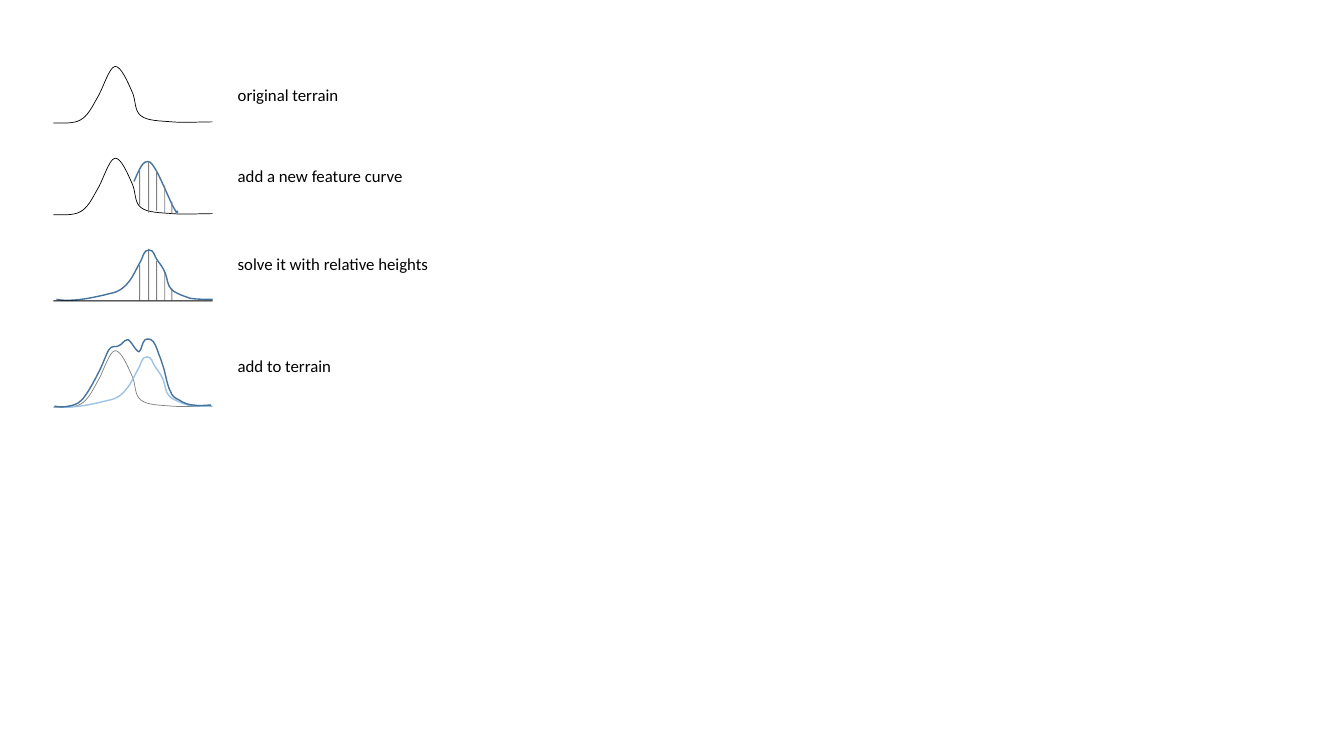
from lxml import etree
from pptx import Presentation
from pptx import util as u
from pptx.dml.color import RGBColor
from pptx.enum import shapes, text
from pptx.oxml import ns

BLACK = RGBColor(0x00, 0x00, 0x00)
GRAY = RGBColor(0x80, 0x80, 0x80)
BLUE = RGBColor(0x43, 0x73, 0x9E)
LIGHT_BLUE = RGBColor(0x9D, 0xC3, 0xE6)

# Curves: a start point, then two controls and an end point per segment (inches)
TERRAIN = [
    (0.53, 1.22), (0.63, 1.22), (0.73, 1.23), (0.80, 1.19),
    (0.87, 1.15), (0.91, 1.07), (0.96, 0.98),
    (1.02, 0.89), (1.08, 0.67), (1.14, 0.66),
    (1.20, 0.65), (1.27, 0.82), (1.31, 0.91),
    (1.35, 0.99), (1.33, 1.10), (1.40, 1.15),
    (1.46, 1.20), (1.59, 1.20), (1.71, 1.21),
    (1.83, 1.22), (1.97, 1.21), (2.11, 1.21)]
FEATURE = [
    (1.33, 1.80), (1.38, 1.69), (1.42, 1.57), (1.49, 1.61),
    (1.56, 1.66), (1.68, 1.99), (1.73, 2.07),
    (1.77, 2.15), (1.76, 2.09), (1.76, 2.09)]
RELATIVE_HILL = [
    (0.56, 2.97), (0.72, 3.00), (0.94, 2.95), (1.10, 2.91),
    (1.27, 2.88), (1.33, 2.71), (1.38, 2.62),
    (1.43, 2.54), (1.42, 2.48), (1.48, 2.48),
    (1.53, 2.48), (1.53, 2.54), (1.56, 2.58),
    (1.59, 2.62), (1.62, 2.66), (1.64, 2.71),
    (1.66, 2.76), (1.66, 2.83), (1.70, 2.87),
    (1.74, 2.91), (1.83, 2.94), (1.89, 2.96),
    (1.96, 2.97), (2.04, 2.97), (2.11, 2.97)]
COMBINED = [
    (0.54, 4.03), (0.59, 4.04), (0.63, 4.04), (0.68, 4.03),
    (0.72, 4.02), (0.76, 4.02), (0.81, 3.97),
    (0.86, 3.92), (0.93, 3.79), (0.97, 3.71),
    (1.02, 3.62), (1.05, 3.52), (1.08, 3.47),
    (1.11, 3.42), (1.15, 3.45), (1.18, 3.43),
    (1.21, 3.42), (1.23, 3.37), (1.27, 3.37),
    (1.30, 3.38), (1.35, 3.49), (1.38, 3.49),
    (1.40, 3.49), (1.41, 3.39), (1.44, 3.37),
    (1.46, 3.36), (1.50, 3.36), (1.52, 3.39),
    (1.55, 3.42), (1.57, 3.51), (1.59, 3.55),
    (1.60, 3.60), (1.61, 3.59), (1.62, 3.64),
    (1.64, 3.70), (1.66, 3.83), (1.69, 3.88),
    (1.71, 3.94), (1.74, 3.95), (1.78, 3.97),
    (1.82, 4.00), (1.88, 4.02), (1.93, 4.02),
    (1.97, 4.03), (2.04, 4.02), (2.07, 4.02),
    (2.10, 4.02), (2.09, 4.02), (2.09, 4.02),
    (2.09, 4.02), (2.08, 4.03), (2.08, 4.02)]

# Height bars: left, top below the feature curve, height
HEIGHTS = [(1.47, 1.60, 0.51), (1.55, 1.70, 0.39), (1.63, 1.84, 0.28),
           (1.70, 2.00, 0.12), (1.38, 1.68, 0.35)]
BASELINE = 2.98
THIN = 0.01


def length(inches):
    return u.Cm(2.54 * inches)


class TerrainSlide:
    font_name = "Calibri"
    font_size = u.Pt(12)

    def __init__(self, presentation):
        self.slide = presentation.slides.add_slide(presentation.slide_layouts[6])

    def curve(self, points, color, width, right=0, down=0):
        points = [(length(x + right), length(y + down)) for x, y in points]
        builder = self.slide.shapes.build_freeform(*points[0])
        builder.add_line_segments(points[3::3], close=False)
        shape = builder.convert_to_shape()
        shape.shadow.inherit = False
        shape.fill.background()
        shape.line.color.rgb = color
        shape.line.width = u.Pt(width)
        # Bend each straight segment into a cubic Bezier
        segments = list(shape.element.iter(ns.qn("a:lnTo")))
        for index, segment in enumerate(segments):
            bend = etree.Element(ns.qn("a:cubicBezTo"))
            for x, y in points[3 * index + 1:3 * index + 4]:
                etree.SubElement(bend, ns.qn("a:pt"),
                                 x=str(x - shape.left), y=str(y - shape.top))
            segment.getparent().replace(segment, bend)

    def bar(self, left, top, width, height, color):
        shape = self.slide.shapes.add_shape(
            shapes.MSO_SHAPE.RECTANGLE, *map(length, (left, top, width, height)))
        shape.shadow.inherit = False
        shape.fill.solid()
        shape.fill.fore_color.rgb = color
        shape.line.fill.background()

    def label(self, wording, top, width):
        box = self.slide.shapes.add_textbox(*map(length, (2.26, top, width, 0.3)))
        frame = box.text_frame
        frame.word_wrap = False
        frame.auto_size = text.MSO_AUTO_SIZE.SHAPE_TO_FIT_TEXT
        paragraph = frame.paragraphs[0]
        paragraph.text = wording
        paragraph.font.name = self.font_name
        paragraph.font.size = self.font_size
        paragraph.font.color.rgb = BLACK


presentation = Presentation()
presentation.slide_width, presentation.slide_height = u.Cm(33.87), u.Cm(19.05)
slide = TerrainSlide(presentation)

# Original terrain, then the new feature curve on it
slide.curve(TERRAIN, BLACK, 0.5)
slide.curve(TERRAIN, BLACK, 0.5, down=0.91)
slide.curve(FEATURE, BLUE, 1)
slide.label("original terrain", 0.79, 1.21)
slide.label("add a new feature curve", 1.6, 1.85)
for left, top, height in HEIGHTS:
    slide.bar(left, top, THIN, height, GRAY)

# Relative heights on a flat baseline
for left, _, height in HEIGHTS:
    slide.bar(left, BASELINE - height, THIN, height, GRAY)
slide.curve(RELATIVE_HILL, BLUE, 1)
slide.bar(0.53, BASELINE, 1.58, THIN, BLACK)
slide.label("solve it with relative heights", 2.47, 2.11)

# Sum of terrain and hill
slide.curve(TERRAIN, GRAY, 0.5, down=2.82)
slide.curve(RELATIVE_HILL, LIGHT_BLUE, 1, right=-0.02, down=1.06)
slide.curve(COMBINED, BLUE, 1)
slide.label("add to terrain", 3.48, 1.14)

presentation.save("out.pptx")
